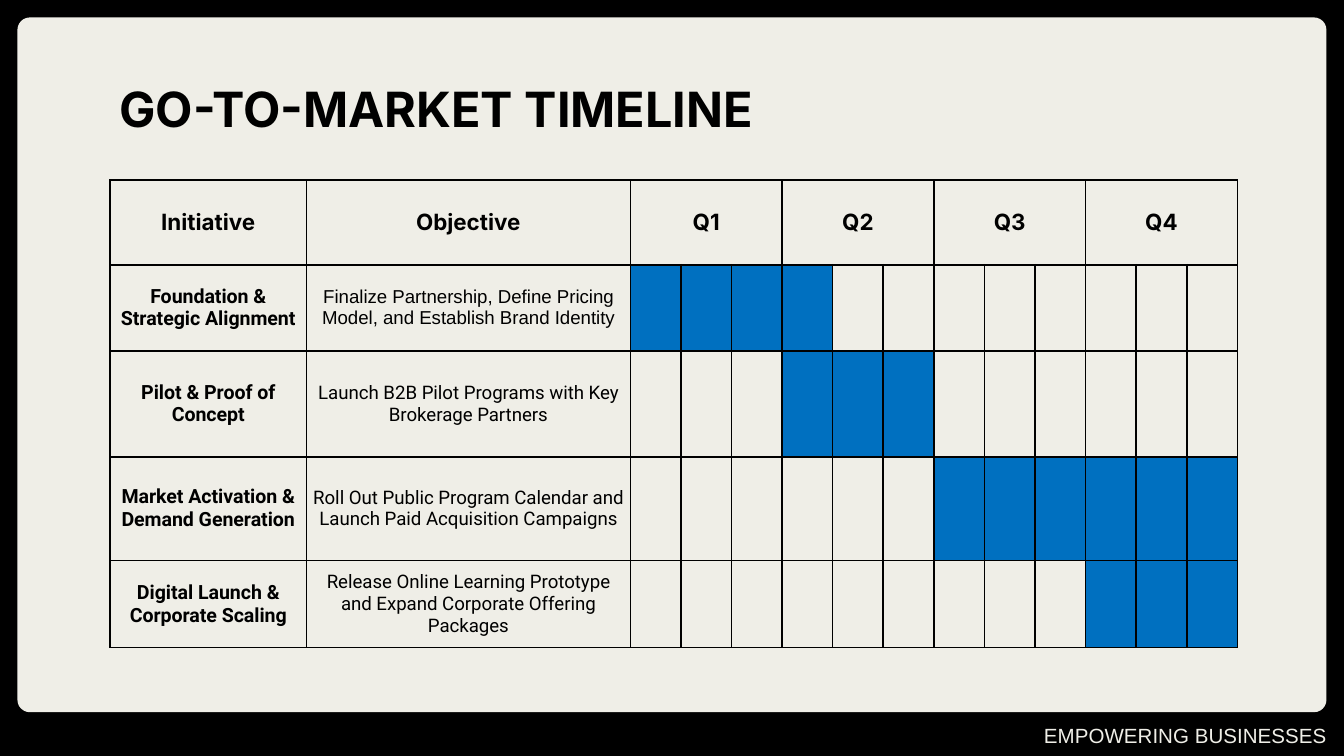
from lxml.etree import SubElement
from pptx import Presentation
from pptx.dml.color import RGBColor
from pptx.enum.shapes import MSO_SHAPE as Shape
from pptx.enum.text import MSO_ANCHOR as Anchor, PP_ALIGN as Align
from pptx.oxml.ns import qn
from pptx.util import Inches, Pt

COLORS = {"black": "000000", "paper": "EFEEE7", "active": "0070C0"}
INITIATIVE_WIDTH, OBJECTIVE_WIDTH = 1.46, 2.41
ROW_HEIGHTS = [0.63, 0.64, 0.79, 0.77, 0.65]
QUARTERS = ["Q1", "Q2", "Q3", "Q4"]
MONTHS_PER_QUARTER = 3
MONTHS = MONTHS_PER_QUARTER * len(QUARTERS)
INITIATIVES = [
    ("Foundation & Strategic Alignment",
     "Finalize Partnership, Define Pricing Model, and Establish Brand Identity",
     "Arial", range(0, 4)),
    ("Pilot & Proof of Concept",
     "Launch B2B Pilot Programs with Key Brokerage Partners",
     "Roboto", range(3, 6)),
    ("Market Activation & Demand Generation",
     "Roll Out Public Program Calendar and Launch Paid Acquisition Campaigns",
     "Roboto", range(6, 12)),
    ("Digital Launch & Corporate Scaling",
     "Release Online Learning Prototype and Expand Corporate Offering Packages",
     "Roboto", range(9, 12)),
]


def rgb(name):
    return RGBColor.from_string(COLORS[name])


def write(frame, text, size=12, font="Inter", color="black", bold=False,
          align=Align.CENTER):
    paragraph = frame.paragraphs[0]
    paragraph.alignment = align
    run = paragraph.add_run()
    run.text = text
    run.font.size = Pt(size)
    run.font.name = font
    run.font.bold = bold
    run.font.color.rgb = rgb(color)


def set_margins(target, inset):
    target.margin_left = target.margin_right = Inches(inset)
    target.margin_top = target.margin_bottom = Inches(inset)


def add_label(slide, box, text, inset=0, wrap=True, **style):
    label = slide.shapes.add_textbox(*map(Inches, box))
    frame = label.text_frame
    frame.word_wrap = wrap
    set_margins(frame, inset)
    write(frame, text, **style)


def add_panel(slide, box):
    panel = slide.shapes.add_shape(Shape.ROUNDED_RECTANGLE, *map(Inches, box))
    panel.adjustments[0] = 0.018
    panel.shadow.inherit = False
    panel.fill.solid()
    panel.fill.fore_color.rgb = rgb("paper")
    panel.line.fill.background()


def style_cell(cell, active=False):
    properties = cell._tc.get_or_add_tcPr()
    for side in ("a:lnL", "a:lnR", "a:lnT", "a:lnB"):
        border = SubElement(properties, qn(side), w=str(Pt(1)))
        fill = SubElement(border, qn("a:solidFill"))
        SubElement(fill, qn("a:srgbClr"), val=COLORS["black"])
    cell.vertical_anchor = Anchor.MIDDLE
    set_margins(cell, 0.05)
    if active:
        cell.fill.solid()
        cell.fill.fore_color.rgb = rgb("active")
    else:
        cell.fill.background()


def add_timeline(slide, box):
    timeline = slide.shapes.add_table(
        len(ROW_HEIGHTS), 2 + MONTHS, *map(Inches, box)).table
    timeline.horz_banding = False
    timeline.first_row = False
    month_width = (box[2] - INITIATIVE_WIDTH - OBJECTIVE_WIDTH) / MONTHS
    widths = [INITIATIVE_WIDTH, OBJECTIVE_WIDTH] + [month_width] * MONTHS
    for column, width in zip(timeline.columns, widths):
        column.width = Inches(width)
    for row, height in zip(timeline.rows, ROW_HEIGHTS):
        row.height = Inches(height)

    for column in range(2 + MONTHS):
        style_cell(timeline.cell(0, column))
    for column, heading in enumerate(["Initiative", "Objective"]):
        write(timeline.cell(0, column).text_frame, heading, bold=True)
    for index, quarter in enumerate(QUARTERS):
        first = 2 + index * MONTHS_PER_QUARTER
        heading = timeline.cell(0, first)
        heading.merge(timeline.cell(0, first + MONTHS_PER_QUARTER - 1))
        write(heading.text_frame, quarter, bold=True)

    for row, (initiative, objective, font, active) in enumerate(INITIATIVES, 1):
        for column in range(2 + MONTHS):
            style_cell(timeline.cell(row, column), column - 2 in active)
        write(timeline.cell(row, 0).text_frame, initiative,
              size=10.5, font="Roboto", bold=True)
        write(timeline.cell(row, 1).text_frame, objective, size=10, font=font)


def build_timeline_slide(deck):
    slide = deck.slides.add_slide(deck.slide_layouts[6])
    slide.background.fill.solid()
    slide.background.fill.fore_color.rgb = rgb("black")
    add_panel(slide, (0.13, 0.13, 9.74, 5.17))
    add_label(slide, (0.79, 0.49, 8.43, 0.63), "GO-TO-MARKET TIMELINE",
              inset=0.1, size=26, bold=True, align=Align.LEFT)
    add_timeline(slide, (0.82, 1.34, 8.39, sum(ROW_HEIGHTS)))
    add_label(slide, (7.72, 5.38, 2.2, 0.19), "EMPOWERING BUSINESSES",
              wrap=False, size=11, font="Arial", color="paper")


def main():
    deck = Presentation()
    deck.slide_width = Inches(10)
    deck.slide_height = deck.slide_width * 9 // 16
    build_timeline_slide(deck)
    deck.save("out.pptx")


if __name__ == "__main__":
    main()
